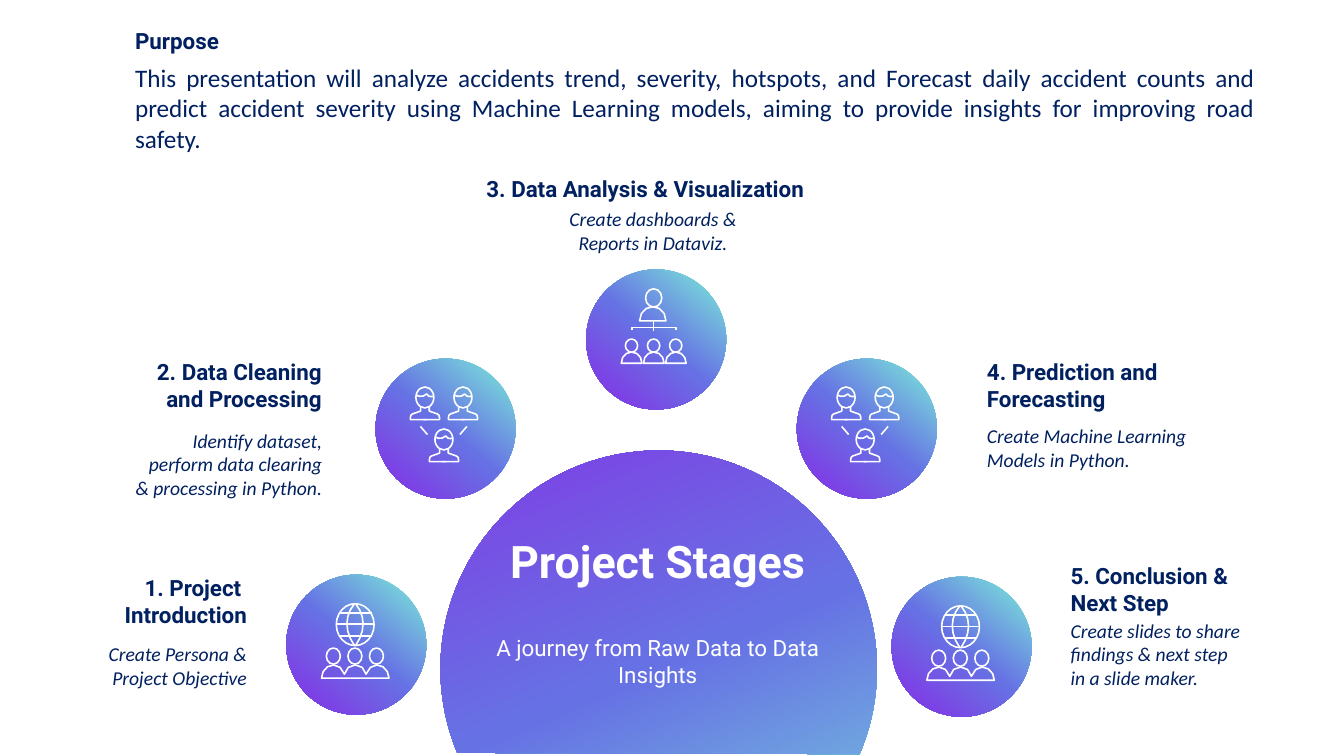
from lxml.etree import SubElement
from pptx import Presentation
from pptx.dml.color import RGBColor
from pptx.enum.shapes import MSO_CONNECTOR, MSO_SHAPE
from pptx.enum.text import MSO_ANCHOR, MSO_AUTO_SIZE, PP_ALIGN
from pptx.oxml import parse_xml
from pptx.oxml.ns import nsdecls, qn
from pptx.util import Pt

HUES = {"navy": "002060", "white": "FFFFFF",
        "aqua": "7CEFD8", "blue": "6672E4", "plum": "882BE5"}
LEFT, MID, RIGHT, FULL = PP_ALIGN.LEFT, PP_ALIGN.CENTER, PP_ALIGN.RIGHT, PP_ALIGN.JUSTIFY
DISC = 100

deck = Presentation()
deck.slide_width, deck.slide_height = Pt(960), Pt(540)
slide = deck.slides.add_slide(deck.slide_layouts[5])


def text(words, at, box=None, size=16, font="Roboto", hue="navy",
         bold=False, italic=False, align=LEFT, gap=0):
    """Add one paragraph to a box, or to a new box, and place the box."""
    box = box or slide.shapes.add_textbox(0, 0, 0, 0)
    box.left, box.top, box.width, box.height = map(Pt, at)
    frame = box.text_frame
    frame.word_wrap = True
    frame.auto_size = MSO_AUTO_SIZE.SHAPE_TO_FIT_TEXT
    frame.vertical_anchor = MSO_ANCHOR.TOP
    frame.margin_left = frame.margin_right = frame.margin_top = frame.margin_bottom = 0
    para = frame.add_paragraph() if frame.text else frame.paragraphs[0]
    para.alignment, para.space_before = align, Pt(gap)
    for i, part in enumerate(words.split("\n")):
        if i:
            para.add_line_break()
        run = para.add_run()
        run.text = part
        run.font.size, run.font.name = Pt(size), font
        run.font.bold, run.font.italic = bold, italic
        run.font.color.rgb = RGBColor.from_string(HUES[hue])
    return box


def bend(a, b, c, d, steps=3):
    """Points along a cubic curve, after its start."""
    ts = [i / steps for i in range(1, steps + 1)]
    return [tuple((1 - t) ** 3 * p + 3 * t * (1 - t) ** 2 * q
                  + 3 * t * t * (1 - t) * r + t ** 3 * s
                  for p, q, r, s in zip(a, b, c, d)) for t in ts]


# Outlines in a unit square; the first two are mirrored halves
halves = [
    [(0, 1), *bend((0, 1), (0, .43), (.22, 0), (.5, 0))],
    [(0, 1), *bend((0, 1), (0, .46), (.08, 0), (.18, 0)),
     *bend((.18, 0), (.25, 0), (.31, .25), (.34, .7), 2),
     *bend((.34, .7), (.36, .25), (.42, 0), (.5, 0), 2)],
]
dome, crowd = (half + [(1 - x, y) for x, y in half[-2::-1]] for half in halves)
fringe = [(1, .67), *bend((1, .67), (.89, 1), (.67, 1), (.6, 0)),
          *bend((.6, 0), (.45, 1), (.17, 1), (0, .33))]
torso = [(.64, 0), (.64, .33), (.13, .56),
         *bend((.13, .56), (.06, .56), (0, .72), (0, .88), 2), (0, 1), (1, 1)]
arc = [(1, 0), *bend((1, 0), (0, .29), (0, .66), (1, 1), 6)]
fork = [(0, 1), (0, 0), (1, 0), (1, 1)]

# Icons: form, left, top, width, height inside a disc
chart = [("oval", 42.4, 13.8, 11.6, 13), (dome, 38.2, 26.6, 18.8, 10.1),
         (fork, 32.6, 41.4, 31.4, 2.1), ("line", 48.2, 36.7, 0, 7.2)]
for i in range(3):
    chart += [("oval", 28 + 15.8 * i, 49.7, 8.8, 9.4),
              (dome, 25.1 + 15.8 * i, 59, 14.7, 8)]

team = [("line", 32, 48.4, 5, 5.8), ("line", 65.2, 48.4, -5, 5.8)]
for x, y in [(24.8, 20.2), (52, 20.2), (38.4, 50.2)]:
    team += [(torso, x, y + 14.3, 11.5, 9), (torso, x + 20.9, y + 14.3, -11.5, 9),
             ("oval", x + 4, y, 12.8, 15), (fringe, x + 4, y + 5, 12.8, 2.2)]

globe = [("oval", 35.7, 20.7, 27, 29.9),
         (arc, 41.5, 20.7, 7.2, 29.9), (arc, 56.7, 20.7, -7.2, 29.9),
         ("line", 37.9, 27.2, 23, 0), ("line", 35.7, 35.4, 27, 0),
         ("line", 37.9, 43.7, 23, 0), (crowd, 25.2, 64.5, 48.2, 9.4)]
globe += [("oval", 28.6 + 15.4 * i, 52.4, 10, 11.5) for i in range(3)]

# Central dome and stage discs, each disc grouped with its icon
discs = [(314.6, 321.8, 311.8, []), (204.5, 410.5, DISC, globe),
         (268.3, 256.2, DISC, team), (418.7, 192.5, DISC, chart),
         (569.2, 256.2, DISC, team), (636.9, 412, DISC, globe)]
for left, top, side, icon in discs:
    home = slide.shapes.add_group_shape().shapes if icon else slide.shapes
    disc = home.add_shape(MSO_SHAPE.OVAL if icon else MSO_SHAPE.CHORD,
                          Pt(left), Pt(top), Pt(side), Pt(side))
    if not icon:
        disc.rotation = 117
        disc.adjustments[0], disc.adjustments[1] = 24.2, 159.62
    stops = "".join(f'<a:gs pos="{pos}"><a:srgbClr val="{HUES[hue]}"/></a:gs>'
                    for pos, hue in [(0, "aqua"), (50000, "blue"), (100000, "plum")])
    disc.element.spPr.append(parse_xml(
        f'<a:gradFill rotWithShape="1" {nsdecls("a")}><a:gsLst>{stops}</a:gsLst>'
        f'<a:lin ang="{130 * 60000}" scaled="0"/></a:gradFill>'))
    disc.line.fill.background()
    disc.shadow.inherit = False

    for form, x, y, w, h in icon:
        x, y = left + x, top + y
        if form == "line":
            mark = home.add_connector(MSO_CONNECTOR.STRAIGHT,
                                      Pt(x), Pt(y), Pt(x + w), Pt(y + h))
        elif form == "oval":
            mark = home.add_shape(MSO_SHAPE.OVAL, Pt(x), Pt(y), Pt(w), Pt(h))
        else:
            dots = [(Pt(x + w * u), Pt(y + h * v)) for u, v in form]
            pen = home.build_freeform(*dots[0])
            pen.add_line_segments(dots[1:], close=form in (dome, crowd))
            mark = pen.convert_to_shape()
        mark.line.color.rgb = RGBColor.from_string(HUES["white"])
        mark.line.width = Pt(1.13)
        if form == "line":
            SubElement(mark.element.spPr, qn("a:effectLst"))
        else:
            mark.fill.background()
            mark.shadow.inherit = False

# Stage labels: heading and its place, note and its place
labels = [
    ("1. Project \nIntroduction", (51.1, 410, 125.3, 38.6),
     "Create Persona & Project Objective", (51.1, 458.6, 125.3, 34), RIGHT),
    ("2. Data Cleaning and Processing", (104.5, 256, 125.3, 38.6),
     "Identify dataset, perform data clearing & processing in Python.",
     (95.7, 306, 134.5, 51), RIGHT),
    ("3. Data Analysis & Visualization", (340.9, 124.9, 240, 19.4),
     "Create dashboards & Reports in Dataviz.", (384.5, 148, 164, 34), MID),
    ("4. Prediction and Forecasting", (705, 256, 125.3, 38.6),
     "Create Machine Learning Models in Python.", (705, 303, 144, 34), LEFT),
    ("5. Conclusion & Next Step", (764.7, 401.8, 125.3, 38.6),
     "Create slides to share findings & next step in a slide maker.",
     (764.7, 442, 123, 51), LEFT),
]
for head, spot, note, place, side in labels:
    text(head, spot, bold=True, align=side)
    text(note, place, size=14, font="Calibri", italic=True, align=side)

# Title, brought in front of the dome
title = slide.shapes.title
title.element.getparent().append(title.element)
spot = (328.3, 380.9, 283, 111.6)
text("Project Stages", spot, title, size=32, hue="white", bold=True, align=MID)
text("A journey from Raw Data to Data Insights", spot, title,
     hue="white", align=MID, gap=33.5)

# Purpose
spot = (96.5, 19.4, 800, 92)
goal = text("Purpose", spot, bold=True, align=FULL, gap=6)
text("This presentation will analyze accidents trend, severity, hotspots, and "
     "Forecast daily accident counts and predict accident severity using Machine "
     "Learning models, aiming to provide insights for improving road safety.",
     spot, goal, size=18, font="Calibri", align=FULL, gap=6)

deck.save("out.pptx")
